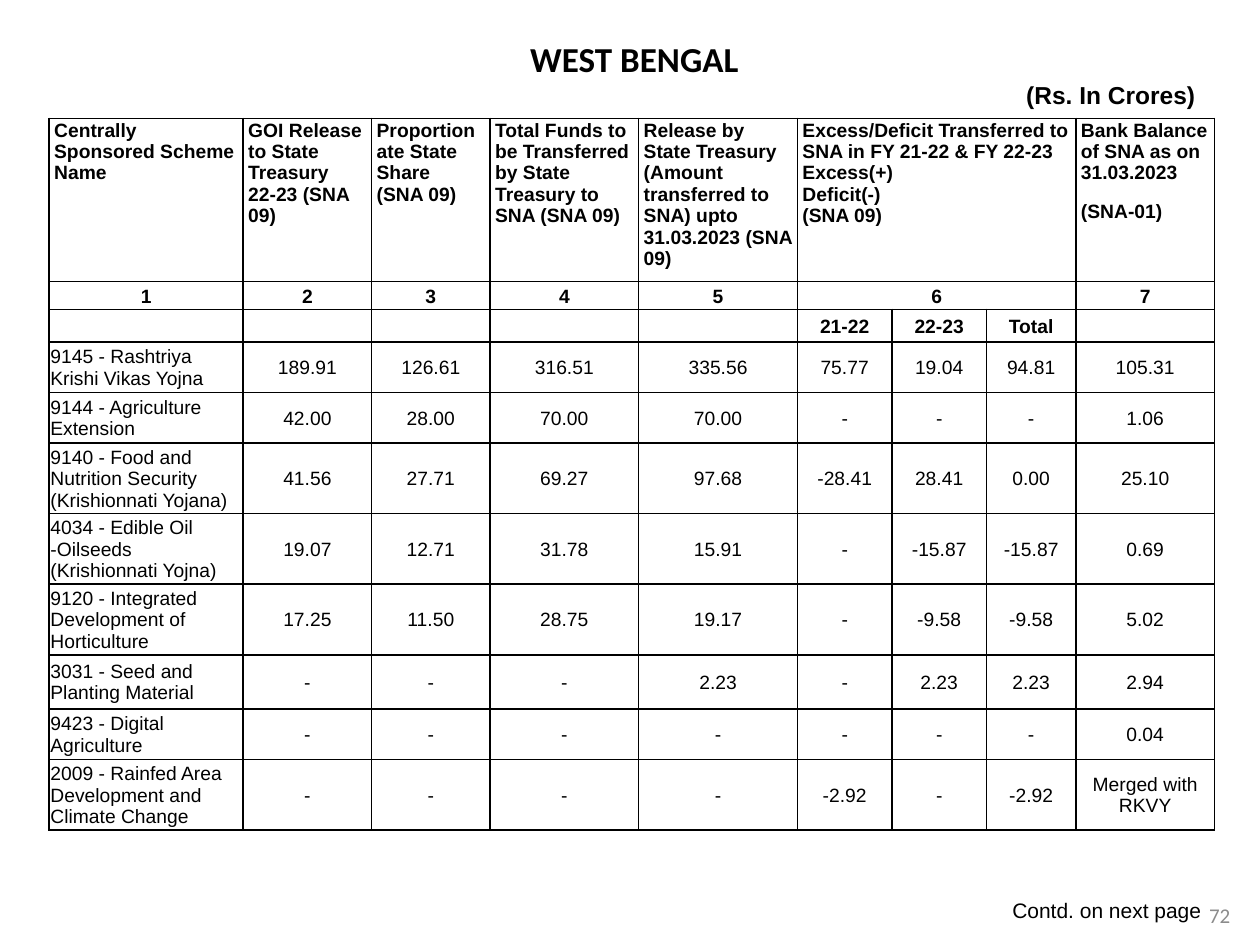
from dataclasses import dataclass

from lxml import etree
from pptx import Presentation
from pptx.dml.color import RGBColor
from pptx.enum.text import MSO_ANCHOR, PP_ALIGN
from pptx.oxml.ns import qn
from pptx.util import Inches, Pt

LEFT, CENTER, RIGHT = PP_ALIGN.LEFT, PP_ALIGN.CENTER, PP_ALIGN.RIGHT
TOP, MIDDLE = MSO_ANCHOR.TOP, MSO_ANCHOR.MIDDLE


@dataclass(frozen=True)
class Theme:
    """Colours, fonts and type sizes of the slide."""
    black: str = "000000"
    grey: str = "8C8C8C"
    body: str = "Arial"
    heading: str = "Calibri"
    title: int = 20
    unit: int = 14
    small: int = 12
    cell: int = 11
    border: int = 1


THEME = Theme()
COLS = [1.54, 1.02, 0.94, 1.18, 1.26, 0.75, 0.75, 0.71, 1.1]
ROWS = [1.29, 0.22, 0.26, 0.4, 0.4, 0.56, 0.56, 0.56, 0.43, 0.4, 0.56]
SPAN = (5, 7)
HEADER = [
    "Centrally Sponsored Scheme Name",
    "GOI Release to State Treasury\v22-23 (SNA 09)",
    "Proportionate State Share\v(SNA 09)",
    "Total Funds to be Transferred by State Treasury to SNA (SNA 09)",
    "Release by State Treasury (Amount transferred to SNA) upto 31.03.2023 (SNA 09)",
    "Excess/Deficit Transferred to SNA in FY 21-22 & FY 22-23\nExcess(+)\nDeficit(-)\n(SNA 09)",
    "", "",
    "Bank Balance of SNA as on 31.03.2023\n(SNA-01)",
]
NUMBERS = ["1", "2", "3", "4", "5", "6", "", "", "7"]
YEARS = ["", "", "", "", "", "21-22", "22-23", "Total", ""]
SCHEMES = [
    ["9145 - Rashtriya Krishi Vikas Yojna", "189.91", "126.61", "316.51", "335.56",
     "75.77", "19.04", "94.81", "105.31"],
    ["9144 - Agriculture Extension", "42.00", "28.00", "70.00", "70.00",
     "-", "-", "-", "1.06"],
    ["9140 - Food and Nutrition Security (Krishionnati Yojana)", "41.56", "27.71",
     "69.27", "97.68", "-28.41", "28.41", "0.00", "25.10"],
    ["4034 - Edible Oil -Oilseeds (Krishionnati Yojna)", "19.07", "12.71", "31.78",
     "15.91", "-", "-15.87", "-15.87", "0.69"],
    ["9120 - Integrated Development of Horticulture", "17.25", "11.50", "28.75",
     "19.17", "-", "-9.58", "-9.58", "5.02"],
    ["3031 - Seed and Planting Material", "-", "-", "-", "2.23",
     "-", "2.23", "2.23", "2.94"],
    ["9423 - Digital Agriculture", "-", "-", "-", "-", "-", "-", "-", "0.04"],
    ["2009 - Rainfed Area Development and Climate Change", "-", "-", "-", "-",
     "-2.92", "-", "-2.92", "Merged with RKVY"],
]


def set_attributes(target, values):
    """Set each named attribute of the target."""
    for name, value in values.items():
        setattr(target, name, value)


def write_paragraph(p, text, size, font=THEME.body, color=THEME.black, bold=False, **layout):
    """Write text into a paragraph with its font and layout."""
    p.text = text
    set_attributes(p, layout)
    if not p.runs:
        p._p.get_or_add_endParaRPr().set("sz", str(size * 100))
    for r in p.runs:
        set_attributes(r.font, {"size": Pt(size), "name": font, "bold": bold})
        r.font.color.rgb = RGBColor.from_string(color)


def add_text_box(s, box, wrap=True, anchor=TOP):
    """Add a text box and return its text frame."""
    tf = s.shapes.add_textbox(*map(Inches, box)).text_frame
    set_attributes(tf, {"word_wrap": wrap, "vertical_anchor": anchor})
    return tf


def add_heading(s, box):
    """Add the state name and the unit beneath it."""
    tf = add_text_box(s, box)
    write_paragraph(tf.paragraphs[0], "WEST BENGAL", THEME.title, THEME.heading,
                    bold=True, alignment=CENTER)
    write_paragraph(tf.add_paragraph(), "(Rs. In Crores) ", THEME.unit,
                    bold=True, alignment=RIGHT)


def add_footer(s, box, text, **style):
    """Add one line of footer text."""
    tf = add_text_box(s, box, wrap=False, anchor=MIDDLE)
    write_paragraph(tf.paragraphs[0], text, THEME.small, alignment=CENTER, **style)


def draw_borders(cell):
    """Give a cell solid lines on all sides and no fill."""
    tcPr = cell._tc.get_or_add_tcPr()
    for side in ("a:lnL", "a:lnR", "a:lnT", "a:lnB"):
        ln = etree.SubElement(tcPr, qn(side), w=str(Pt(THEME.border)))
        fill = etree.SubElement(ln, qn("a:solidFill"))
        etree.SubElement(fill, qn("a:srgbClr"), val=THEME.black)
    cell.fill.background()


def cell_format(row, col):
    """Return the side margin, anchor, weight and paragraph layout of a cell."""
    if row == 0:
        return 0.04, TOP, True, {"space_after": Pt(0 if col == SPAN[0] else 10)}
    if row == 1:
        return 0.04, TOP, True, {"alignment": CENTER, "line_spacing": 1.15,
                                 "space_after": Pt(10)}
    return 0.01, MIDDLE, row == 2, {"alignment": CENTER if col else LEFT}


def fill_cell(cell, text, row, col):
    """Write one table cell, a paragraph for each line of text."""
    side, anchor, bold, layout = cell_format(row, col)
    set_attributes(cell, {"margin_left": Inches(side), "margin_right": Inches(side),
                          "margin_top": Inches(0.01), "margin_bottom": 0,
                          "vertical_anchor": anchor})
    draw_borders(cell)
    tf = cell.text_frame
    for i, line in enumerate(text.split("\n")):
        p = tf.add_paragraph() if i else tf.paragraphs[0]
        write_paragraph(p, line, THEME.cell, bold=bold, **layout)


def add_fund_table(s, box):
    """Add the table of scheme funds."""
    table = s.shapes.add_table(len(ROWS), len(COLS), *map(Inches, box)).table
    set_attributes(table, {"first_row": False, "horz_banding": False})
    for column, width in zip(table.columns, COLS):
        column.width = Inches(width)
    for row, height in zip(table.rows, ROWS):
        row.height = Inches(height)
    for i, texts in enumerate([HEADER, NUMBERS, YEARS, *SCHEMES]):
        for j, text in enumerate(texts):
            fill_cell(table.cell(i, j), text, i, j)
    first, last = SPAN
    for i in range(2):
        table.cell(i, first).merge(table.cell(i, last))


def main():
    """Build the slide and save it."""
    prs = Presentation()
    set_attributes(prs, {"slide_width": Inches(10), "slide_height": Inches(7.5)})
    s = prs.slides.add_slide(prs.slide_layouts[6])
    add_heading(s, (0.43, 0.25, 9.21, 0.67))
    add_fund_table(s, (0.39, 0.94, sum(COLS), sum(ROWS)))
    add_footer(s, (9.48, 7.06, 0.4, 0.4), "72", font=THEME.heading, color=THEME.grey)
    add_footer(s, (7.93, 7.07, 1.71, 0.3), "Contd. on next page")
    prs.save("out.pptx")


if __name__ == "__main__":
    main()
